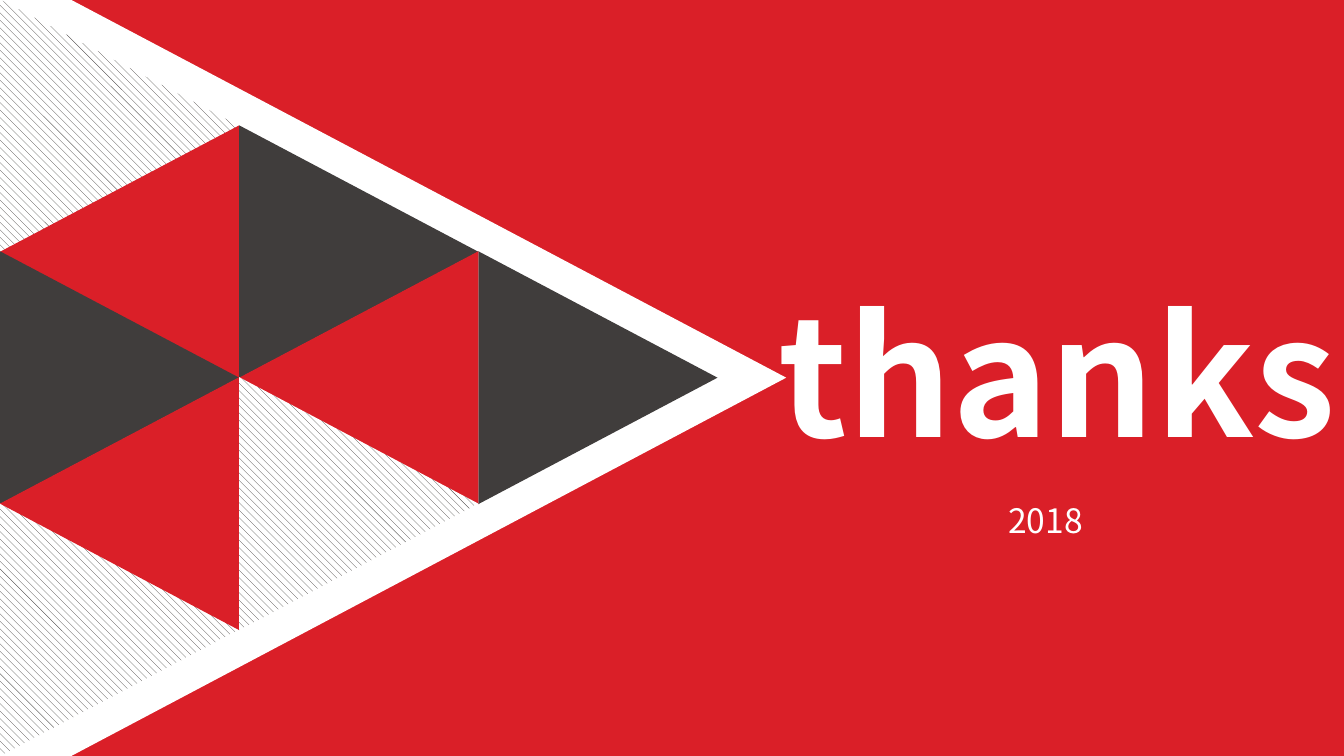
from dataclasses import dataclass
from typing import Optional

from pptx import Presentation
from pptx.dml.color import RGBColor
from pptx.enum.dml import MSO_PATTERN
from pptx.enum.shapes import MSO_SHAPE
from pptx.enum.text import MSO_ANCHOR, MSO_AUTO_SIZE, PP_ALIGN
from pptx.util import Cm, Pt

RED = RGBColor(0xDA, 0x1F, 0x28)
CHARCOAL = RGBColor(0x40, 0x3D, 0x3C)
WHITE = RGBColor(0xFF, 0xFF, 0xFF)
FONT = "Noto Sans CJK SC"

# Triangle mosaic grid, in cm: columns touch, rows overlap by half a side
SIDE, DEPTH = 4.78, 4.52
ROW_STEP = 2.38
POINT_RIGHT, POINT_LEFT = 90, 270


@dataclass
class Tile:
    column: int
    row: int
    direction: int
    color: Optional[RGBColor] = None  # None means hatched


TILES = [
    Tile(0, 0, POINT_RIGHT),
    Tile(0, 1, POINT_LEFT, RED),
    Tile(0, 2, POINT_RIGHT, CHARCOAL),
    Tile(1, 1, POINT_RIGHT, CHARCOAL),
    Tile(0, 4, POINT_RIGHT),
    Tile(2, 2, POINT_RIGHT, CHARCOAL),
    Tile(0, 3, POINT_LEFT, RED),
    Tile(1, 2, POINT_LEFT, RED),
    Tile(1, 3, POINT_RIGHT),
]


def draw_tile(slide, tile: Tile) -> None:
    center_x = DEPTH * (tile.column + 0.5)
    center_y = ROW_STEP * (tile.row + 1)
    triangle = slide.shapes.add_shape(
        MSO_SHAPE.ISOSCELES_TRIANGLE,
        Cm(center_x - SIDE / 2), Cm(center_y - DEPTH / 2), Cm(SIDE), Cm(DEPTH))
    triangle.rotation = tile.direction
    triangle.shadow.inherit = False
    triangle.line.fill.background()
    if tile.color is None:
        triangle.fill.patterned()
        triangle.fill.pattern = MSO_PATTERN.WIDE_DOWNWARD_DIAGONAL
        triangle.fill.fore_color.rgb = CHARCOAL
        triangle.fill.back_color.rgb = WHITE
    else:
        triangle.fill.solid()
        triangle.fill.fore_color.rgb = tile.color


def write_line(frame, text: str, size: int, bold: bool) -> None:
    frame_format = {"word_wrap": True, "auto_size": MSO_AUTO_SIZE.SHAPE_TO_FIT_TEXT,
                    "vertical_anchor": MSO_ANCHOR.TOP}
    for name, value in frame_format.items():
        setattr(frame, name, value)
    paragraph = frame.paragraphs[0]
    paragraph.alignment = PP_ALIGN.CENTER
    run = paragraph.add_run()
    run.text = text
    for name, value in {"name": FONT, "size": Pt(size), "bold": bold}.items():
        setattr(run.font, name, value)
    run.font.color.rgb = WHITE


def main() -> None:
    presentation = Presentation()
    presentation.slide_width, presentation.slide_height = Cm(25.4), Cm(14.29)
    slide = presentation.slides.add_slide(presentation.slide_layouts[5])
    slide.background.fill.solid()
    slide.background.fill.fore_color.rgb = RED

    # White arrow-shaped panel
    outline = [(0, 0), (1.35, 0), (14.86, 7.14), (1.35, 14.29), (0, 14.29)]
    points = [(Cm(x), Cm(y)) for x, y in outline]
    builder = slide.shapes.build_freeform(*points[0])
    builder.add_line_segments(points[1:], close=True)
    panel = builder.convert_to_shape()
    panel.shadow.inherit = False
    panel.fill.solid()
    panel.fill.fore_color.rgb = WHITE
    panel.line.fill.background()

    # Triangle mosaic
    for tile in TILES:
        draw_tile(slide, tile)

    # Closing words, in front of the panel
    closing = slide.shapes.title
    place = {"left": Cm(13.64), "top": Cm(5.03), "width": Cm(12.67), "height": Cm(4.01)}
    for name, value in place.items():
        setattr(closing, name, value)
    slide.shapes._spTree.append(closing._element)
    write_line(closing.text_frame, "thanks", 88, True)

    year = slide.shapes.add_textbox(Cm(15.44), Cm(9.32), Cm(8.64), Cm(1.02))
    write_line(year.text_frame, "2018", 18, False)

    presentation.save("out.pptx")


if __name__ == "__main__":
    main()
